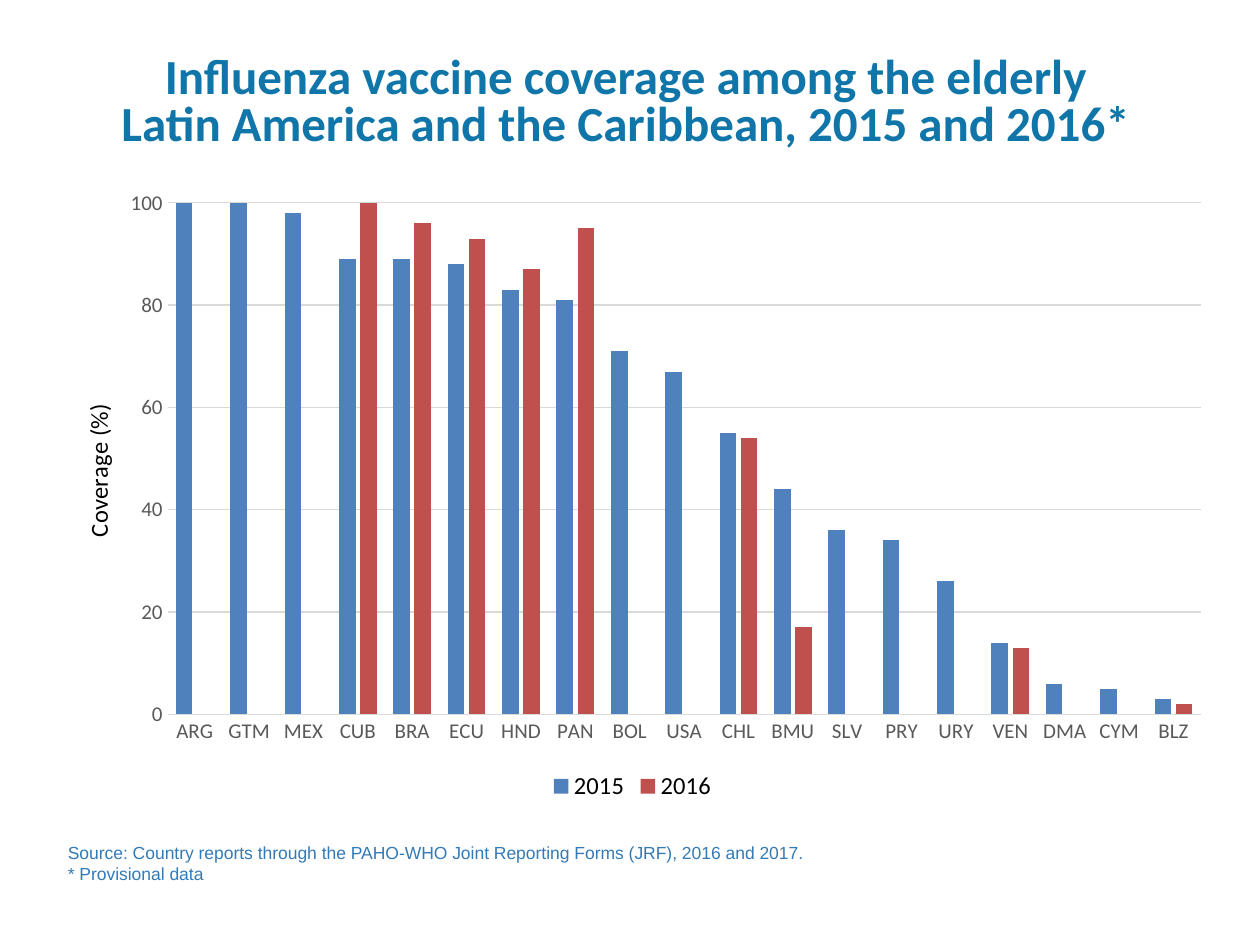
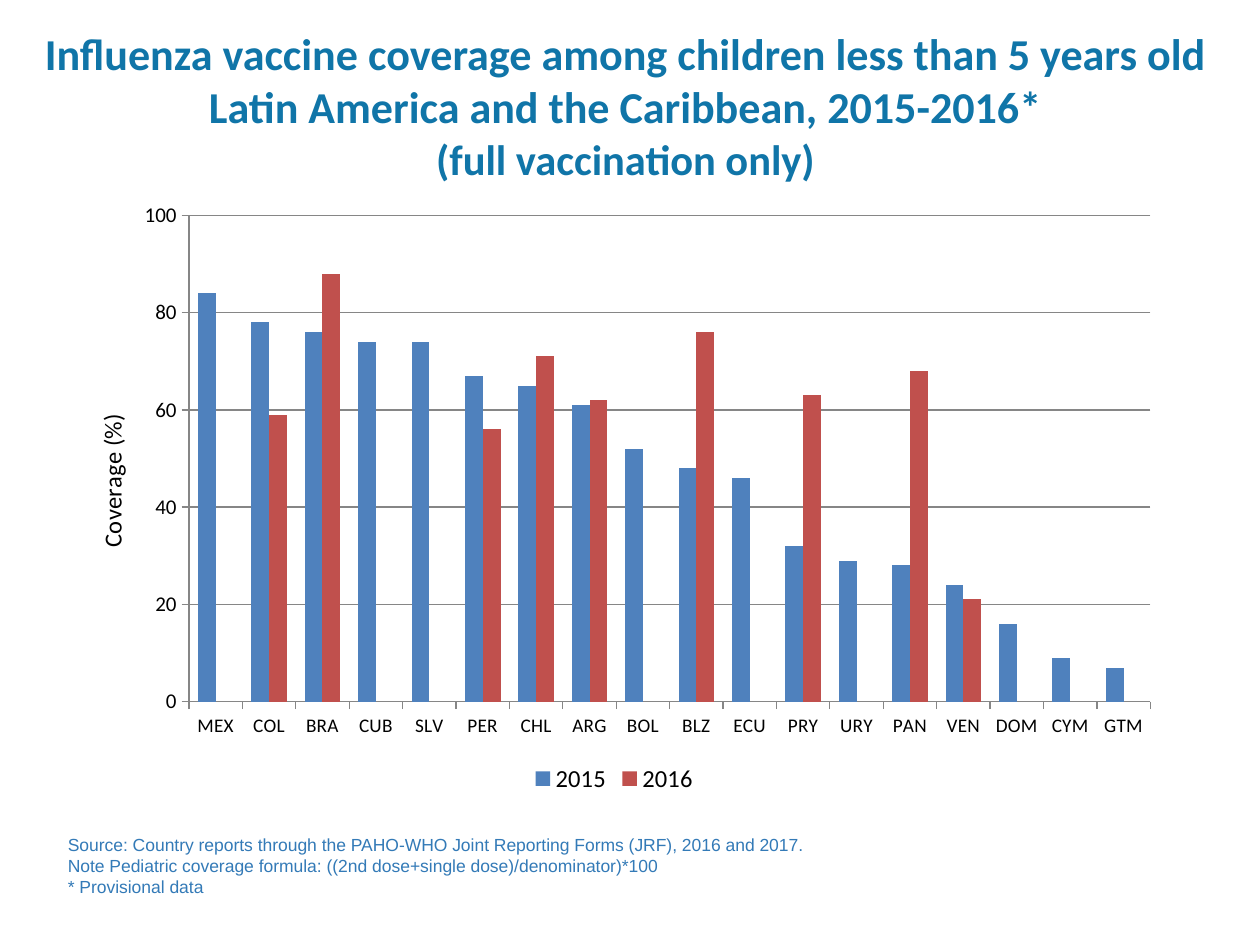
from dataclasses import dataclass

from lxml import etree
from pptx import Presentation
from pptx.chart.data import CategoryChartData
from pptx.dml.color import RGBColor
from pptx.enum import chart as ch, text as tx
from pptx.oxml import ns
from pptx.util import Inches, Pt


@dataclass(frozen=True)
class Theme:
    title: str = "1075A8"
    note: str = "337AB7"
    ink: str = "000000"
    years: tuple = ("4F81BD", "C0504D")
    heading_font: str = "Calibri"
    note_font: str = "Arial"
    note_size: float = 10
    axis_size: float = 12
    label_size: float = 14


THEME = Theme()
YEARS = ("2015", "2016")
SOURCE = ("Source: Country reports through the PAHO-WHO Joint Reporting Forms "
          "(JRF), 2016 and 2017.")
PROVISIONAL = "* Provisional data"

# Boxes are left, top, width, height in inches; coverage is (2015, 2016) in %.
SLIDES = [
    dict(
        title=[("Influenza vaccine coverage among the elderly", 28),
               ("Latin America and the Caribbean, 2015 and 2016*", 28)],
        title_box=(0.61, 0.55, 8.71, 0.55),
        title_spacing=0.8,
        notes=[SOURCE, PROVISIONAL],
        notes_box=(0.44, 6.63, 6.1, 0.44),
        chart_box=(0.32, 1.42, 9.4, 4.98),
        plot_box=(1.33, 1.61, 8.2, 4.06),
        axis_title_at=(0.61, 3.17),
        category_size=12,
        overlap=-27,
        tick=ch.XL_TICK_MARK.NONE,
        tick_color="595959",
        grid_color="D9D9D9",
        value_line=False,
        coverage={
            "ARG": (100, None), "GTM": (100, None), "MEX": (98, None),
            "CUB": (89, 100), "BRA": (89, 96), "ECU": (88, 93),
            "HND": (83, 87), "PAN": (81, 95), "BOL": (71, None),
            "USA": (67, None), "CHL": (55, 54), "BMU": (44, 17),
            "SLV": (36, None), "PRY": (34, None), "URY": (26, None),
            "VEN": (14, 13), "DMA": (6, None), "CYM": (5, None),
            "BLZ": (3, 2),
        },
    ),
    dict(
        title=[("Influenza vaccine coverage among children less than 5 years old "
                "Latin America and the Caribbean, 2015-2016*", 25.2),
               ("(full vaccination only)", 24.3)],
        title_box=(0.15, 0.35, 9.63, 0.97),
        title_spacing=1.0,
        notes=[SOURCE,
               "Note Pediatric coverage formula: "
               "((2nd dose+single dose)/denominator)*100",
               PROVISIONAL],
        notes_box=(0.44, 6.57, 6.1, 0.61),
        chart_box=(0.44, 1.51, 8.87, 4.83),
        plot_box=(1.5, 1.71, 7.63, 3.86),
        axis_title_at=(0.72, 3.25),
        category_size=11,
        overlap=0,
        tick=ch.XL_TICK_MARK.OUTSIDE,
        tick_color=THEME.ink,
        grid_color="868686",
        value_line=True,
        coverage={
            "MEX": (84, None), "COL": (78, 59), "BRA": (76, 88),
            "CUB": (74, None), "SLV": (74, None), "PER": (67, 56),
            "CHL": (65, 71), "ARG": (61, 62), "BOL": (52, None),
            "BLZ": (48, 76), "ECU": (46, None), "PRY": (32, 63),
            "URY": (29, None), "PAN": (28, 68), "VEN": (24, 21),
            "DOM": (16, None), "CYM": (9, None), "GTM": (7, None),
        },
    ),
]


def style(font, size, color, name=THEME.heading_font, bold=False):
    font.size = Pt(size)
    font.name = name
    font.bold = bold
    font.color.rgb = RGBColor.from_string(color)


def add_text(slide, box, paragraphs, *, color, font, bold=False, wrap=True,
             align=tx.PP_ALIGN.LEFT, anchor=tx.MSO_ANCHOR.TOP, spacing=1.0):
    """Each paragraph is a list of (line, size) parted by line breaks."""
    frame = slide.shapes.add_textbox(*map(Inches, box)).text_frame
    frame.word_wrap = wrap
    frame.vertical_anchor = anchor
    for i, lines in enumerate(paragraphs):
        paragraph = frame.add_paragraph() if i else frame.paragraphs[0]
        paragraph.alignment = align
        paragraph.line_spacing = spacing
        for j, (line, size) in enumerate(lines):
            if j:
                paragraph.add_line_break()
            run = paragraph.add_run()
            run.text = line
            style(run.font, size, color, font, bold)


def set_layout(parent, index, chart_box, place, inner=False):
    """Pin a chart part at place (left, top[, width, height]) on the slide."""
    for old in parent.findall(ns.qn("c:layout")):
        parent.remove(old)
    layout = etree.Element(ns.qn("c:layout"))
    manual = etree.SubElement(layout, ns.qn("c:manualLayout"))
    left, top, width, height = chart_box
    values = [("xMode", "edge"), ("yMode", "edge"),
              ("x", (place[0] - left) / width), ("y", (place[1] - top) / height)]
    if inner:
        values.insert(0, ("layoutTarget", "inner"))
        values += [("w", place[2] / width), ("h", place[3] / height)]
    for tag, value in values:
        etree.SubElement(manual, ns.qn(f"c:{tag}")).set("val", str(value))
    parent.insert(index, layout)


def style_line(line, color):
    line.color.rgb = RGBColor.from_string(color)
    line.width = Pt(0.75)


def add_coverage_chart(slide, content):
    coverage = content["coverage"]
    data = CategoryChartData(number_format="General")
    data.categories = list(coverage)
    for year, values in zip(YEARS, zip(*coverage.values())):
        data.add_series(year, values)
    box = content["chart_box"]
    chart = slide.shapes.add_chart(
        ch.XL_CHART_TYPE.COLUMN_CLUSTERED, *map(Inches, box), data).chart
    chart.has_title = False
    style(chart.font, THEME.axis_size, THEME.ink)

    plot = chart.plots[0]
    plot.gap_width = 100
    plot.overlap = content["overlap"]
    plot.vary_by_categories = False
    for series, color in zip(plot.series, THEME.years):
        series.format.fill.solid()
        series.format.fill.fore_color.rgb = RGBColor.from_string(color)
        series.invert_if_negative = False

    countries, percent = chart.category_axis, chart.value_axis
    for axis, size in ((countries, content["category_size"]),
                       (percent, THEME.axis_size)):
        axis.major_tick_mark = content["tick"]
        axis.minor_tick_mark = ch.XL_TICK_MARK.NONE
        style(axis.tick_labels.font, size, content["tick_color"])
        style_line(axis.format.line, content["grid_color"])
    if not content["value_line"]:
        percent.format.line.fill.background()
    percent.minimum_scale, percent.maximum_scale = 0, 100
    percent.major_unit = 20
    percent.has_major_gridlines = True
    style_line(percent.major_gridlines.format.line, content["grid_color"])

    frame = percent.axis_title.text_frame
    frame.text = "Coverage (%)"
    style(frame.paragraphs[0].runs[0].font, THEME.label_size, THEME.ink)
    rich = frame._txBody
    rich.bodyPr.set("rot", "-5400000")
    rich.bodyPr.set("vert", "horz")
    set_layout(rich.getparent().getparent(), 1, box, content["axis_title_at"])

    chart.has_legend = True
    chart.legend.position = ch.XL_LEGEND_POSITION.BOTTOM
    chart.legend.include_in_layout = False
    style(chart.legend.font, THEME.label_size, THEME.ink)

    plot_area = chart.element.find(".//" + ns.qn("c:plotArea")) \
        if hasattr(chart, "element") else chart._chartSpace.chart.plotArea
    set_layout(plot_area, 0, box, content["plot_box"], inner=True)


def main():
    deck = Presentation()
    deck.slide_width, deck.slide_height = Inches(10), Inches(7.5)
    for content in SLIDES:
        slide = deck.slides.add_slide(deck.slide_layouts[6])
        add_coverage_chart(slide, content)
        add_text(slide, content["title_box"], [content["title"]],
                 color=THEME.title, font=THEME.heading_font, bold=True,
                 align=tx.PP_ALIGN.CENTER, anchor=tx.MSO_ANCHOR.MIDDLE,
                 spacing=content["title_spacing"])
        add_text(slide, content["notes_box"],
                 [[(note, THEME.note_size)] for note in content["notes"]],
                 color=THEME.note, font=THEME.note_font, wrap=False)
    deck.save("out.pptx")


if __name__ == "__main__":
    main()
